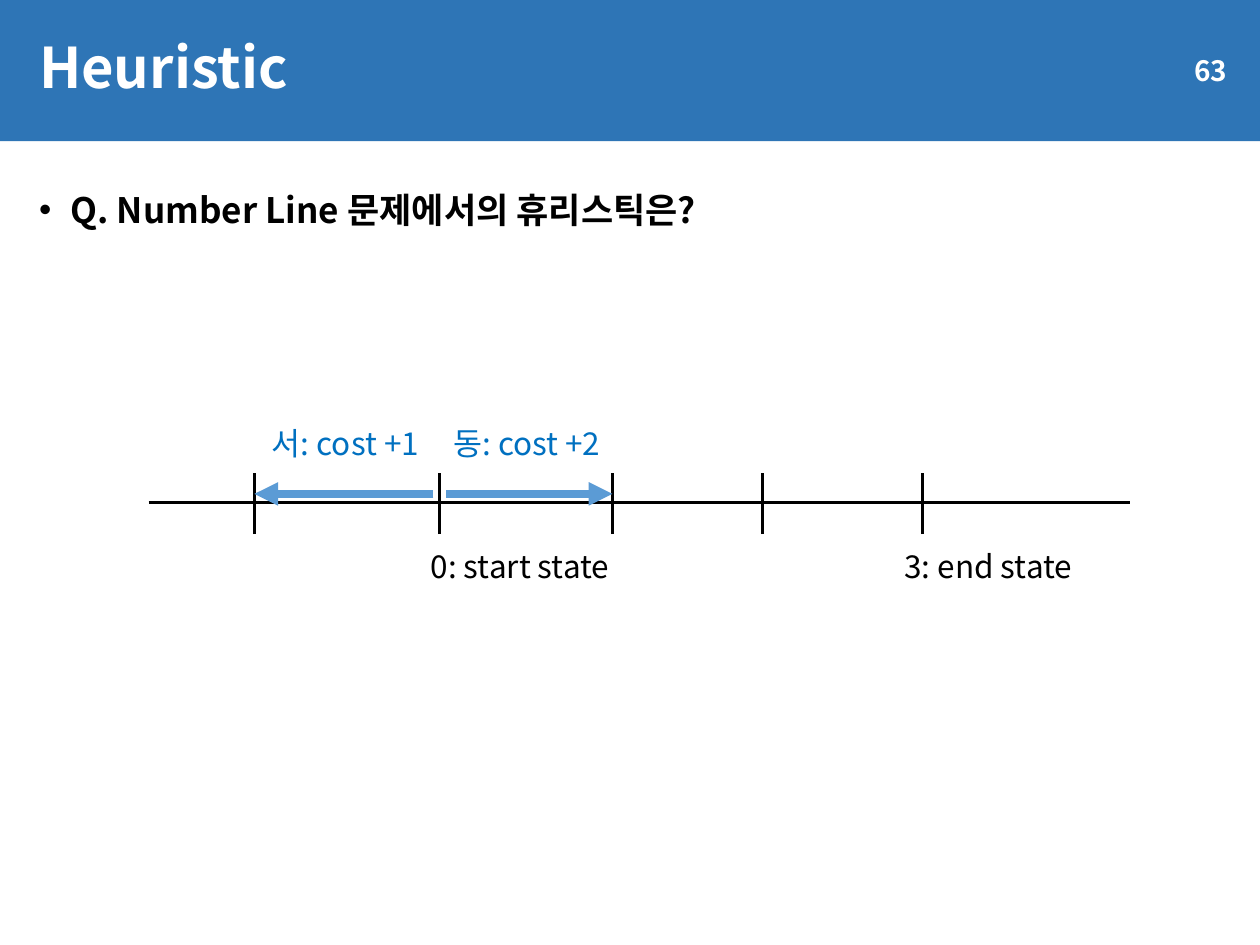
"""Build the Heuristic slide: a number line with step costs and its start and end states."""
from lxml.etree import SubElement
from pptx import Presentation
from pptx.dml.color import RGBColor
from pptx.enum.shapes import MSO_CONNECTOR, MSO_SHAPE
from pptx.enum.text import MSO_ANCHOR, MSO_AUTO_SIZE, PP_ALIGN
from pptx.oxml.ns import qn
from pptx.util import Inches, Pt

FONT = "Noto Sans CJK KR"
BAND_BLUE = RGBColor(0x2E, 0x75, 0xB6)
ARROW_BLUE = RGBColor(0x5B, 0x9B, 0xD5)
COST_BLUE = RGBColor(0x00, 0x70, 0xC0)
BLACK = RGBColor(0, 0, 0)
WHITE = RGBColor(255, 255, 255)

presentation = Presentation()
presentation.slide_width = Inches(10)
presentation.slide_height = Inches(7.5)
column = presentation.slide_width // 100
row = presentation.slide_height // 75
slide = presentation.slides.add_slide(presentation.slide_layouts[1])
shapes = slide.shapes


def write(shape, text, size, color, bold=False):
    paragraph = shape.text_frame.paragraphs[0]
    paragraph.text = text
    font = paragraph.font
    font.name, font.size, font.bold = FONT, Pt(size), bold
    font.color.rgb = color
    properties = paragraph._p.pPr.find(qn("a:defRPr"))
    SubElement(properties, qn("a:ea"), typeface=FONT)
    return paragraph


def draw_line(left, top, right, bottom, color, width, arrow=False):
    connector = shapes.add_connector(
        MSO_CONNECTOR.STRAIGHT,
        int(left * column), int(top * row), int(right * column), int(bottom * row))
    connector.line.color.rgb = color
    connector.line.width = Pt(width)
    if arrow:
        SubElement(connector.line._get_or_add_ln(), qn("a:tailEnd"), type="triangle")
    SubElement(connector._element.spPr, qn("a:effectLst"))


band = shapes.add_shape(MSO_SHAPE.RECTANGLE, 0, 0, 100 * column, int(11.2 * row))
shapes._spTree.insert(2, band._element)
number = shapes.add_shape(MSO_SHAPE.RECTANGLE, int(84.9 * column), int(3.6 * row),
                          int(13.5 * column), 4 * row)
for shape in (band, number):
    shape.shadow.inherit = False
    shape.fill.solid()
    shape.fill.fore_color.rgb = BAND_BLUE
    shape.line.fill.background()
number.text_frame.vertical_anchor = MSO_ANCHOR.MIDDLE
write(number, "63", 16, WHITE, True).alignment = PP_ALIGN.RIGHT

title, body = shapes.title, slide.placeholders[1]
for placeholder, top, height in ((title, 1.3, 8.5), (body, 13.8, 59.6)):
    placeholder.left, placeholder.width = int(2.1 * column), int(96.2 * column)
    placeholder.top, placeholder.height = int(top * row), int(height * row)
    placeholder.text_frame.auto_size = MSO_AUTO_SIZE.NONE
title.fill.solid()
title.fill.fore_color.rgb = BAND_BLUE
title.text_frame.vertical_anchor = MSO_ANCHOR.MIDDLE
heading = write(title, "Heuristic", 32, WHITE, True)
heading.alignment = PP_ALIGN.LEFT
heading.line_spacing = 0.9

paragraph_properties = body.text_frame.paragraphs[0]._p.get_or_add_pPr()
paragraph_properties.set("marL", str(Inches(0.25)))
paragraph_properties.set("indent", str(-Inches(0.25)))
SubElement(paragraph_properties, qn("a:buFont"), typeface="Arial")
SubElement(paragraph_properties, qn("a:buChar"), char="•")
question = write(body, "Q. Number Line 문제에서의 휴리스틱은?", 20, BLACK, True)
question.line_spacing = 1.2
question.space_before = Pt(0)

west, start, east, second, end = ticks = (20.2, 34.9, 48.6, 60.5, 73.2)
draw_line(11.8, 39.9, 89.7, 39.9, BLACK, 1.5)
for tick in ticks:
    draw_line(tick, 42.4, tick, 37.5, BLACK, 1.5)
for origin, target in ((start + 0.5, east), (start - 0.5, west)):
    draw_line(origin, 39.2, target, 39.2, ARROW_BLUE, 4.5, arrow=True)

for text, left, top, width, color in (
    ("0: start state", 33.2, 42.9, 16.4, BLACK),
    ("3: end state", 70.8, 42.9, 15.6, BLACK),
    ("서: cost +1", 20.6, 33.2, 14.7, COST_BLUE),
    ("동: cost +2", 35, 33.2, 14.7, COST_BLUE),
):
    label = shapes.add_textbox(int(left * column), int(top * row), int(width * column), 4 * row)
    label.text_frame.word_wrap = False
    label.text_frame.auto_size = MSO_AUTO_SIZE.SHAPE_TO_FIT_TEXT
    write(label, text, 18, color)

presentation.save("out.pptx")
